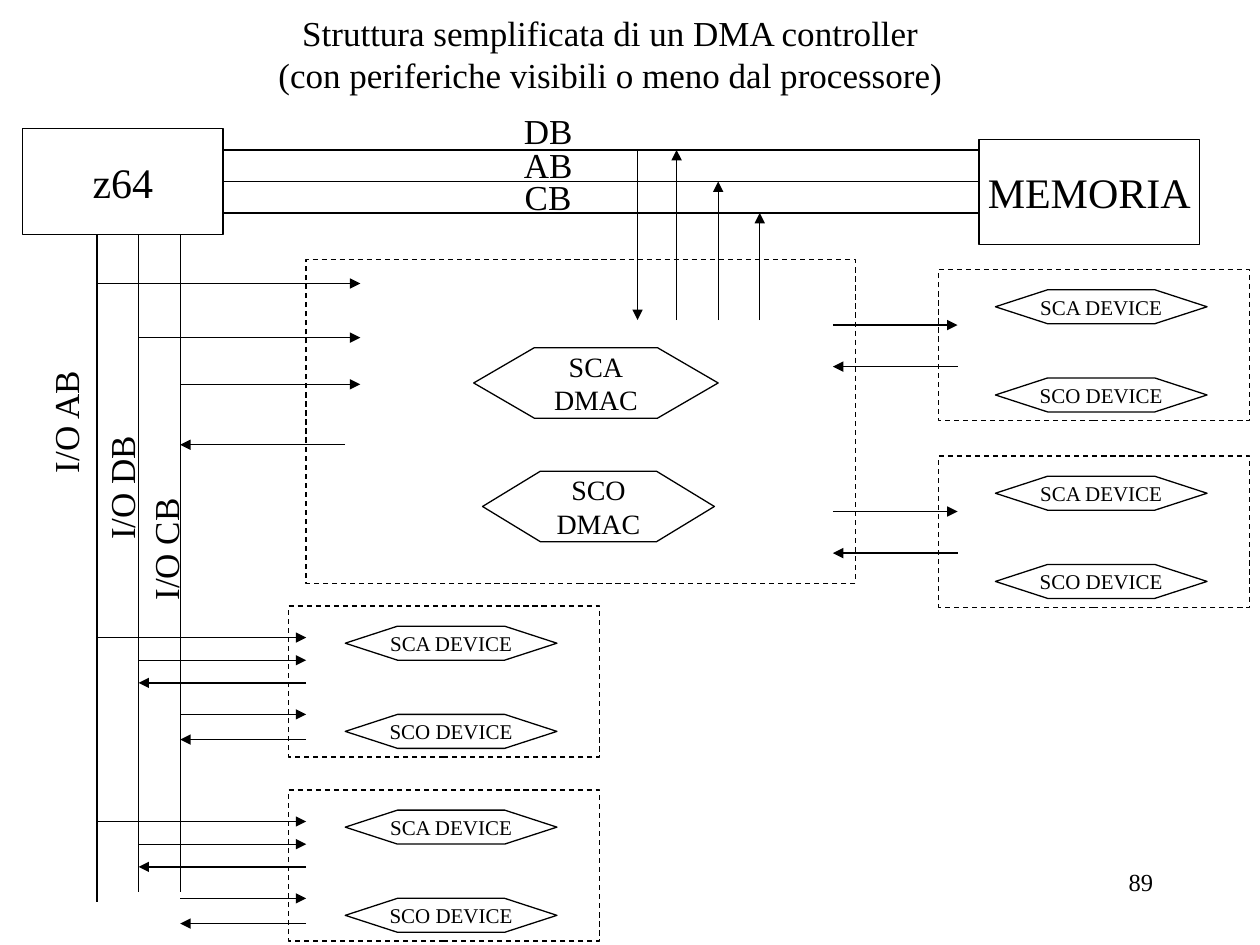
from typing import NamedTuple, Optional

from lxml.etree import SubElement as Sub
from pptx import Presentation
from pptx.dml.color import RGBColor as Rgb
from pptx.enum.dml import MSO_LINE as Dash
from pptx.enum.shapes import MSO_CONNECTOR as Conn, MSO_SHAPE as Kind
from pptx.enum.text import MSO_ANCHOR as Anchor, PP_ALIGN as Align
from pptx.oxml.ns import qn
from pptx.util import Inches, Pt

HUES = {"ink": "000000", "paper": "FFFFFF"}
FONT = "Times New Roman"
COLS, ROWS = 100, 75

deck = Presentation()
deck.slide_width, deck.slide_height = Inches(10), Inches(7.5)
slide = deck.slides.add_slide(deck.slide_layouts[5])
slide.background.fill.solid()
slide.background.fill.fore_color.rgb = Rgb.from_string(HUES["paper"])


class Box(NamedTuple):
    left: float
    top: float
    width: float
    height: float


class Label(NamedTuple):
    text: str
    box: Box
    turn: int = 0
    wrap: bool = False


class Wire(NamedTuple):
    x1: float
    y1: float
    x2: float
    y2: float
    head: bool = True


def col(n: float) -> int:
    return round(deck.slide_width * n / COLS)


def row(n: float) -> int:
    return round(deck.slide_height * n / ROWS)


def place(box: Box) -> tuple:
    return col(box.left), row(box.top), col(box.width), row(box.height)


def write(frame, lines: list, size: float, align=Align.CENTER, wrap: bool = False) -> None:
    frame.word_wrap = wrap
    for i, line in enumerate(lines):
        para = frame.paragraphs[0] if i == 0 else frame.add_paragraph()
        para.alignment = align
        for j, part in enumerate(line.split("\n")):
            if j:
                para.add_line_break()
            run = para.add_run()
            run.text = part
            run.font.size = Pt(size)
            run.font.name = FONT
            run.font.color.rgb = Rgb.from_string(HUES["ink"])


def ink(line) -> None:
    line.color.rgb = Rgb.from_string(HUES["ink"])
    line.width = Pt(0.75)


def block(box: Box, lines: Optional[list] = None, size: float = 24,
          kind=Kind.RECTANGLE, slant: Optional[float] = None, dashed: bool = False):
    shape = slide.shapes.add_shape(kind, *place(box))
    shape.shadow.inherit = False
    shape.fill.background()
    ink(shape.line)
    if slant:
        shape.adjustments[0] = slant
    if dashed:
        shape.line.dash_style = Dash.DASH
    shape.text_frame.vertical_anchor = Anchor.MIDDLE
    write(shape.text_frame, lines or [], size)
    return shape


def wire(w: Wire):
    link = slide.shapes.add_connector(Conn.STRAIGHT, col(w.x1), row(w.y1), col(w.x2), row(w.y2))
    ink(link.line)
    props = link._element.spPr
    if w.head:
        Sub(props.get_or_add_ln(), qn("a:tailEnd"), type="triangle")
    Sub(props, qn("a:effectLst"))
    return link


def label(tag: Label, size: float = 20, align=Align.CENTER) -> None:
    text = slide.shapes.add_textbox(*place(tag.box))
    text.rotation = tag.turn
    write(text.text_frame, [tag.text], size, align, tag.wrap)


def device(left: float, top: float) -> None:
    block(Box(left, top, 24.7, 12), dashed=True)
    for name, drop in (("SCA DEVICE", 1.6), ("SCO DEVICE", 8.6)):
        block(Box(left + 4.5, top + drop, 16.8, 2.7), [name], 12, Kind.HEXAGON, 1.535)


title = slide.shapes.title
title.left, title.top, title.width, title.height = place(Box(1.8, -2, 93.3, 12.5))
title.text_frame.vertical_anchor = Anchor.MIDDLE
write(title.text_frame, ["Struttura semplificata di un DMA controller\n"
                         "(con periferiche visibili o meno dal processore)"], 20, wrap=True)

cpu = block(Box(1.8, 10.2, 15.9, 8.4), ["z64"])
block(Box(77.7, 11.1, 17.5, 8.3), ["MEMORIA"])

LANES = [11.9, 14.4, 16.9]
for lane in LANES:
    bus = wire(Wire(17.7, lane, 77.7, lane, False))
    if lane == LANES[1]:
        bus.begin_connect(cpu, 3)

ADDR, DATA, CTRL = 7.7, 11, 14.3
for x, end in ((ADDR, 71.6), (DATA, 70.8), (CTRL, 70.8)):
    wire(Wire(x, 18.6, x, end, False))

for name, top in (("DB", 8.2), ("AB", 10.9), ("CB", 13.4)):
    label(Label(name, Box(39.9, top, 7.2, 4.4)))
for tag in (
    Label("I/O AB", Box(0.1, 31.3, 10.2, 4.4), 270),
    Label("I/O DB", Box(0.1, 36.5, 19.1, 4.4), 270, True),
    Label("I/O CB", Box(8.1, 41.4, 10.1, 4.4), 270),
):
    label(tag)
label(Label("89", Box(71.7, 68.3, 20.8, 5), wrap=True), 14, Align.RIGHT)

block(Box(24.3, 20.6, 43.6, 25.7), dashed=True)
block(Box(37.6, 27.6, 19.4, 5.6), ["SCA", "DMAC"], 16, Kind.HEXAGON, 0.86)
block(Box(38.3, 37.4, 18.4, 5.6), ["SCO", "DMAC"], 16, Kind.HEXAGON, 0.82)

for w in (
    Wire(ADDR, 22.5, 28.6, 22.5),
    Wire(DATA, 26.8, 28.6, 26.8),
    Wire(CTRL, 30.5, 28.6, 30.5),
    Wire(27.4, 35.3, CTRL, 35.3),
    Wire(50.6, LANES[0], 50.6, 25.4),
):
    wire(w)
for x, lane in zip((53.7, 57, 60.3), LANES):
    wire(Wire(x, 25.4, x, lane))

for top in (21.4, 36.2):
    device(74.5, top)
    wire(Wire(66.1, top + 4.4, 76, top + 4.4))
    wire(Wire(76, top + 7.7, 66.1, top + 7.7))

for top in (48.1, 62.7):
    device(22.9, top)
    for x, drop in ((ADDR, 2.5), (DATA, 4.3), (CTRL, 8.6)):
        wire(Wire(x, top + drop, 24.3, top + drop))
    for x, drop in ((DATA, 6.1), (CTRL, 10.6)):
        wire(Wire(24.3, top + drop, x, top + drop))

deck.save("out.pptx")
